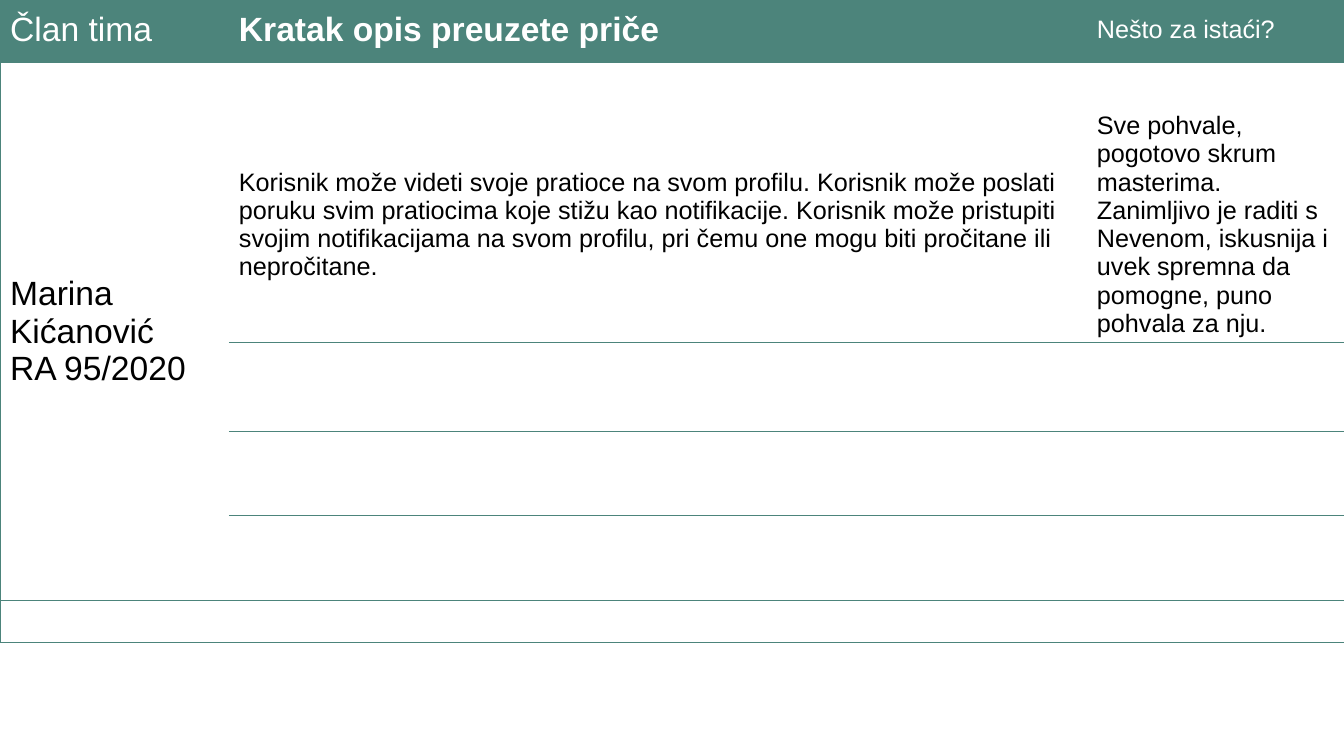
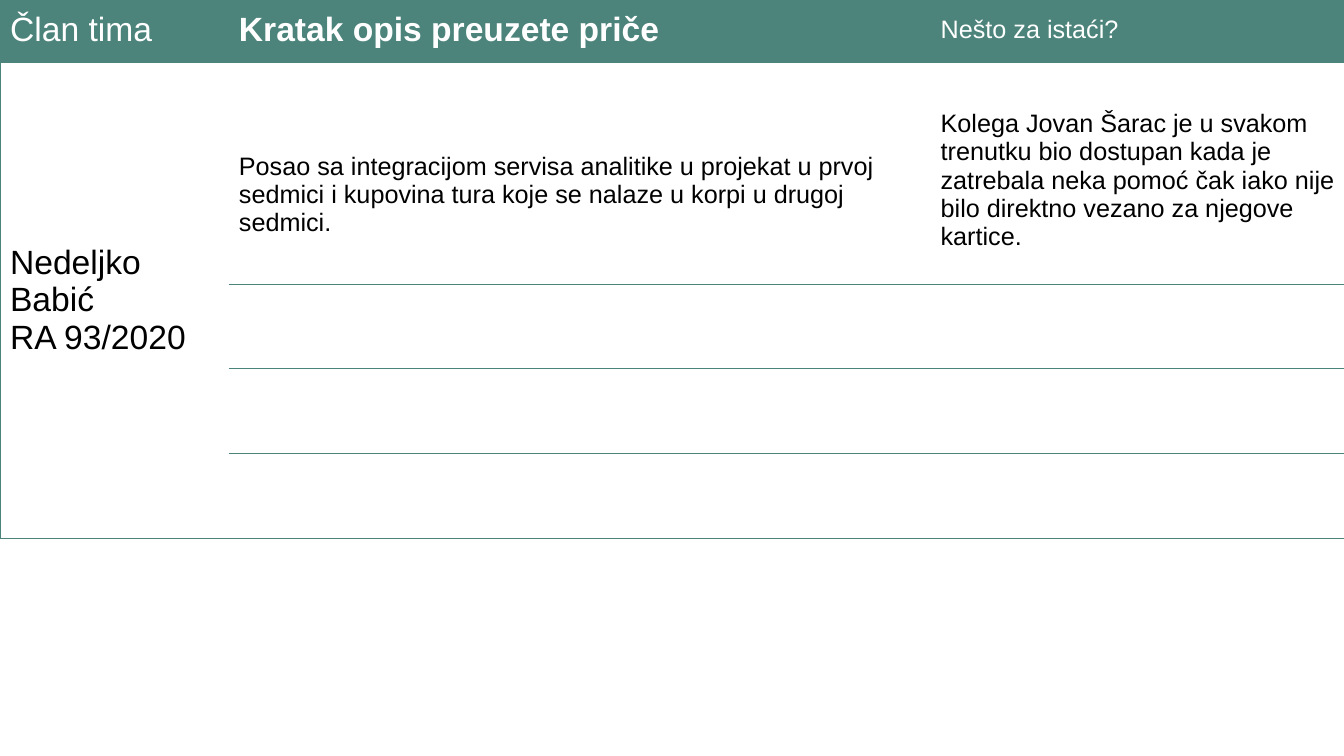
import dataclasses

import pptx
import pptx.dml.color
import pptx.enum.text
import pptx.oxml
import pptx.oxml.ns
import pptx.util

Inches = pptx.util.Inches


@dataclasses.dataclass(frozen=True)
class Theme:
    font: str = "Arial"
    green: str = "4C847B"
    white: str = "FFFFFF"
    black: str = "000000"
    large: int = 24
    normal: int = 18
    rule_width: float = 0.75
    plain_table_style: str = "{2D5ABB26-0587-4C30-8999-92F81FD0307C}"


THEME = Theme()
TABLE_TOP = -0.03
HEADER_HEIGHT = 0.65
MEMBER_ROWS = 8

MEMBERS = [
    {
        "name": ["Marina Kićanović", "RA 95/2020"],
        "story": "Korisnik može videti svoje pratioce na svom profilu. "
                 "Korisnik može poslati poruku svim pratiocima koje stižu kao notifikacije. "
                 "Korisnik može pristupiti svojim notifikacijama na svom profilu, "
                 "pri čemu one mogu biti pročitane ili nepročitane.",
        "remark": "Sve pohvale, pogotovo skrum masterima. Zanimljivo je raditi s Nevenom, "
                  "iskusnija i uvek spremna da pomogne, puno pohvala za nju.",
        "widths": [2.27, 8.51, 2.56],
        "heights": [HEADER_HEIGHT, 0.44, 2.34, 0.44, 0.44] + [0.42] * 5,
        "remark_bottom": 0.05,
    },
    {
        "name": ["Nedeljko Babić", "RA 93/2020"],
        "story": "Posao sa integracijom servisa analitike u projekat u prvoj sedmici "
                 "i kupovina tura koje se nalaze u korpi u drugoj sedmici.",
        "remark": "Kolega Jovan Šarac je u svakom trenutku bio dostupan kada je zatrebala "
                  "neka pomoć čak iako nije bilo direktno vezano za njegove kartice.",
        "widths": [2.27, 6.96, 4.11],
        "heights": [HEADER_HEIGHT, 0.42, 1.78] + [0.42] * 6,
        "remark_bottom": 0.33,
    },
]


def write_text(cell, *lines, size=THEME.normal, color=THEME.black, bold=False):
    frame = cell.text_frame
    for index, line in enumerate(lines):
        para = frame.add_paragraph() if index else frame.paragraphs[0]
        span = para.add_run()
        span.text = line
        span.font.name = THEME.font
        span.font.size = pptx.util.Pt(size)
        span.font.bold = bold
        span.font.color.rgb = pptx.dml.color.RGBColor.from_string(color)


def set_borders(cell, **sides):
    """Draw or hide each side, given in the order L, R, T, B."""
    properties = cell._tc.get_or_add_tcPr()
    namespace = pptx.oxml.ns.nsdecls("a")
    width = pptx.util.Pt(THEME.rule_width)
    for side, visible in sides.items():
        paint = (f'<a:solidFill><a:srgbClr val="{THEME.green}"/></a:solidFill>'
                 if visible else "<a:noFill/>")
        properties.append(pptx.oxml.parse_xml(
            f'<a:ln{side} {namespace} w="{width}">{paint}</a:ln{side}>'))


def has_rule_above(row, column, row_count):
    """The member column is ruled only at its ends, the others every two rows."""
    if row in (0, 1, MEMBER_ROWS + 1, row_count):
        return True
    return column > 0 and row % 2 == 1


def format_cell(table, row, column):
    cell = table.cell(row, column)
    row_count = len(table.rows)
    is_member = row == 1 and column == 0
    set_borders(
        cell,
        L=column == 0,
        R=column == len(table.columns) - 1,
        T=has_rule_above(row, column, row_count),
        B=is_member or has_rule_above(row + 1, column, row_count),
    )
    cell.vertical_anchor = pptx.enum.text.MSO_ANCHOR.MIDDLE
    if row == 0:
        cell.fill.solid()
        cell.fill.fore_color.rgb = pptx.dml.color.RGBColor.from_string(THEME.green)
    else:
        cell.fill.background()


def add_plain_table(page, widths, heights):
    frame = page.shapes.add_table(
        len(heights), len(widths), Inches(0), Inches(TABLE_TOP),
        Inches(sum(widths)), Inches(sum(heights)))
    table = frame.table
    table.horz_banding = False
    style = table._tbl.tblPr.find(pptx.oxml.ns.qn("a:tableStyleId"))
    style.text = THEME.plain_table_style
    for column, width in zip(table.columns, widths):
        column.width = Inches(width)
    for row, height in zip(table.rows, heights):
        row.height = Inches(height)
    for row in range(len(heights)):
        for column in range(len(widths)):
            format_cell(table, row, column)
    return table


def add_member_page(deck, member):
    page = deck.slides.add_slide(deck.slide_layouts[6])
    table = add_plain_table(page, member["widths"], member["heights"])
    table.cell(1, 0).merge(table.cell(MEMBER_ROWS, 0))

    write_text(table.cell(0, 0), "Član tima", size=THEME.large, color=THEME.white)
    write_text(table.cell(0, 1), "Kratak opis preuzete priče",
               size=THEME.large, color=THEME.white, bold=True)
    write_text(table.cell(0, 2), "Nešto za istaći?", color=THEME.white)

    write_text(table.cell(1, 0), *member["name"], size=THEME.large)
    write_text(table.cell(2, 1), member["story"])
    remark = table.cell(2, 2)
    write_text(remark, member["remark"])
    remark.margin_bottom = Inches(member["remark_bottom"])


def main():
    deck = pptx.Presentation()
    deck.slide_width = Inches(13.33)
    deck.slide_height = Inches(7.5)
    for member in MEMBERS:
        add_member_page(deck, member)
    deck.save("out.pptx")


if __name__ == "__main__":
    main()
